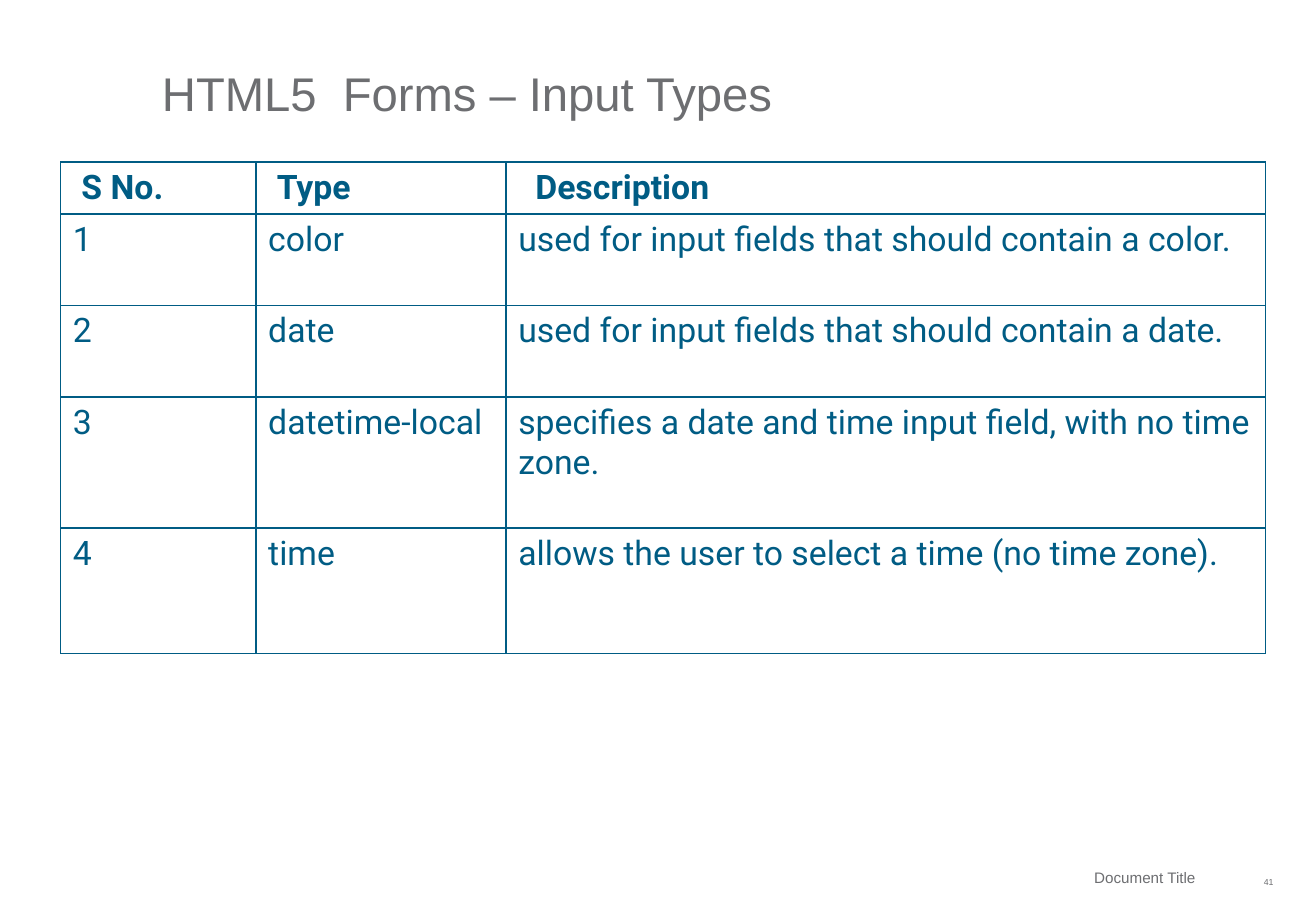
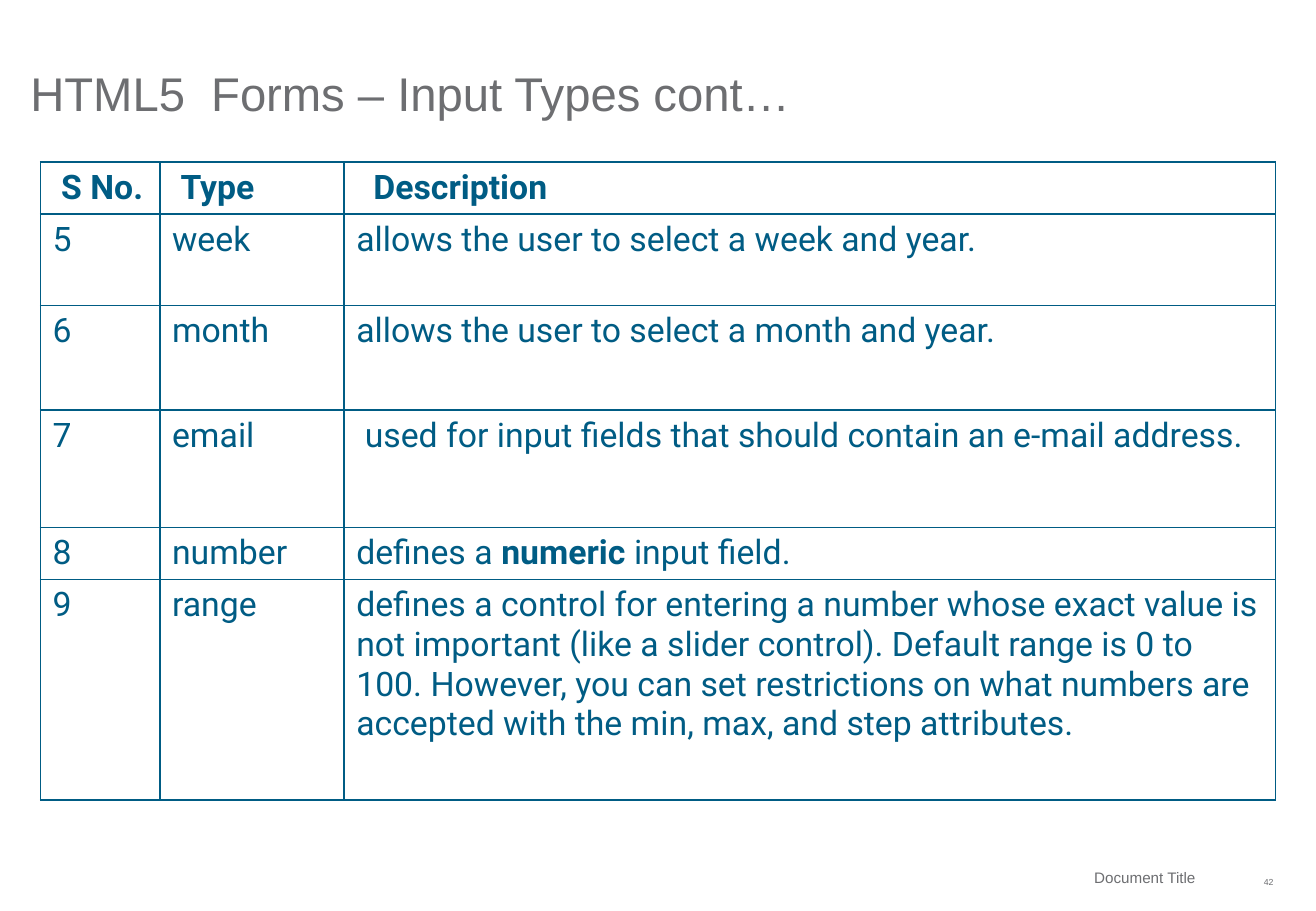
from pptx import Presentation
from pptx.dml.color import RGBColor
from pptx.enum.text import MSO_ANCHOR, MSO_AUTO_SIZE, PP_ALIGN
from pptx.oxml import parse_xml
from pptx.oxml.ns import nsdecls
from pptx.util import Inches, Pt

COLORS = {"grey": "6D6E71", "blue": "005C84", "white": "FFFFFF"}
FONTS = {"heading": "Arial", "table": "Roboto"}
GRID_COLUMNS, GRID_ROWS = 130, 90
UNIT = Inches(1) // 12

TITLE_ONLY = 5
HEADERS = ("S No.", "Type", "Description")
HEADER_INDENTS = (0.84, 0.84, 1.68)
HEADER_HEIGHT = 5.14
NUMBER_BOX = (121.1, 84.6, 4.7, 4)
FOOTER_BOX = (74.3, 85, 45.6, 3.4)

SLIDES = [
    {
        "number": 41,
        "title": "HTML5  Forms – Input Types",
        "title_box": (4, 4, 121, 8),
        "title_indent": 12,
        "table_origin": (6, 16),
        "columns": (19.3, 24.7, 75),
        "rows": [
            (9.04, "1", "color", "used for input fields that should contain a color."),
            (9.04, "2", "date", "used for input fields that should contain a date."),
            (12.94, "3", "datetime-local",
             "specifies a date and time input field, with no time zone."),
            (12.4, "4", "time", "allows the user to select a time (no time zone)."),
        ],
    },
    {
        "number": 42,
        "title": "HTML5  Forms – Input Types cont…",
        "title_box": (3, 2, 122, 10),
        "table_origin": (4, 16),
        "columns": (11.8, 18.2, 92),
        "rows": [
            (9.04, "5", "week", "allows the user to select a week and year."),
            (10.32, "6", "month", "allows the user to select a month and year."),
            (11.6, "7", "email",
             "used for input fields that should contain an e-mail address."),
            (5.14, "8", "number", "defines a **numeric** input field."),
            (21.83, "9", "range",
             "defines a control for entering a number whose exact value is not important "
             "(like a slider control). Default range is 0 to 100. However, you can set "
             "restrictions on what numbers are accepted with the min, max, and step "
             "attributes."),
        ],
        "indents": {"email": 0.84},
    },
]


def units(value):
    return round(value * UNIT)


def write_text(frame, text, font=FONTS["heading"], size=9, color="grey", bold=False,
               align=PP_ALIGN.LEFT, indent=0, line_spacing=None, baseline=None):
    paragraph = frame.paragraphs[0]
    paragraph.alignment = align
    if line_spacing:
        paragraph.line_spacing = line_spacing
    if indent:
        properties = paragraph._p.get_or_add_pPr()
        properties.set("marL", str(units(indent)))
        properties.set("indent", "0")
    for index, part in enumerate(text.split("**")):
        run = paragraph.add_run()
        run.text = part
        run.font.name = font
        run.font.size = Pt(size)
        run.font.bold = bold or index % 2 == 1
        run.font.color.rgb = RGBColor.from_string(COLORS[color])
        if baseline:
            run.font._element.set("baseline", str(baseline))


def format_frame(frame, anchor, right=0):
    frame.word_wrap = True
    frame.auto_size = MSO_AUTO_SIZE.NONE
    frame.vertical_anchor = anchor
    frame.margin_left = frame.margin_top = frame.margin_bottom = 0
    frame.margin_right = units(right)


def place_title(slide, box, text, indent=0):
    title = slide.shapes.title
    title.left, title.top, title.width, title.height = map(units, box)
    format_frame(title.text_frame, MSO_ANCHOR.BOTTOM)
    write_text(title.text_frame, text, size=28, indent=indent, line_spacing=0.9)


def place_footer_text(slide, box, text, right=0, baseline=None):
    shape = slide.shapes.add_textbox(*map(units, box))
    format_frame(shape.text_frame, MSO_ANCHOR.MIDDLE, right)
    write_text(shape.text_frame, text, align=PP_ALIGN.RIGHT, baseline=baseline)


def format_cell(cell):
    properties = cell._tc.get_or_add_tcPr()
    for side in ("lnL", "lnR", "lnT", "lnB"):
        properties.append(parse_xml(
            f'<a:{side} {nsdecls("a")} w="{Pt(1)}"><a:solidFill>'
            f'<a:srgbClr val="{COLORS["blue"]}"/></a:solidFill></a:{side}>'))
    cell.fill.solid()
    cell.fill.fore_color.rgb = RGBColor.from_string(COLORS["white"])


def place_table(slide, origin, columns, rows, indents):
    lines = [(HEADER_HEIGHT, *HEADERS), *rows]
    box = (*origin, sum(columns), sum(line[0] for line in lines))
    table = slide.shapes.add_table(len(lines), len(columns), *map(units, box)).table
    table.first_row = table.horz_banding = False
    for column, width in zip(table.columns, columns):
        column.width = units(width)
    for row_index, (height, *texts) in enumerate(lines):
        header = row_index == 0
        table.rows[row_index].height = units(height)
        for column_index, text in enumerate(texts):
            cell = table.cell(row_index, column_index)
            format_cell(cell)
            indent = 0
            if header:
                indent = HEADER_INDENTS[column_index]
            elif column_index == 2:
                indent = indents.get(texts[1], 0)
            write_text(cell.text_frame, text, font=FONTS["table"], size=20,
                       color="blue", bold=header, indent=indent)


def build_slide(presentation, content):
    slide = presentation.slides.add_slide(presentation.slide_layouts[TITLE_ONLY])
    place_footer_text(slide, NUMBER_BOX, str(content["number"]), baseline=-25000)
    place_footer_text(slide, FOOTER_BOX, "Document Title", right=1.8)
    place_title(slide, content["title_box"], content["title"],
                content.get("title_indent", 0))
    place_table(slide, content["table_origin"], content["columns"], content["rows"],
                content.get("indents", {}))


def main():
    presentation = Presentation()
    presentation.slide_width = units(GRID_COLUMNS)
    presentation.slide_height = units(GRID_ROWS)
    for content in SLIDES:
        build_slide(presentation, content)
    presentation.save("out.pptx")


if __name__ == "__main__":
    main()
